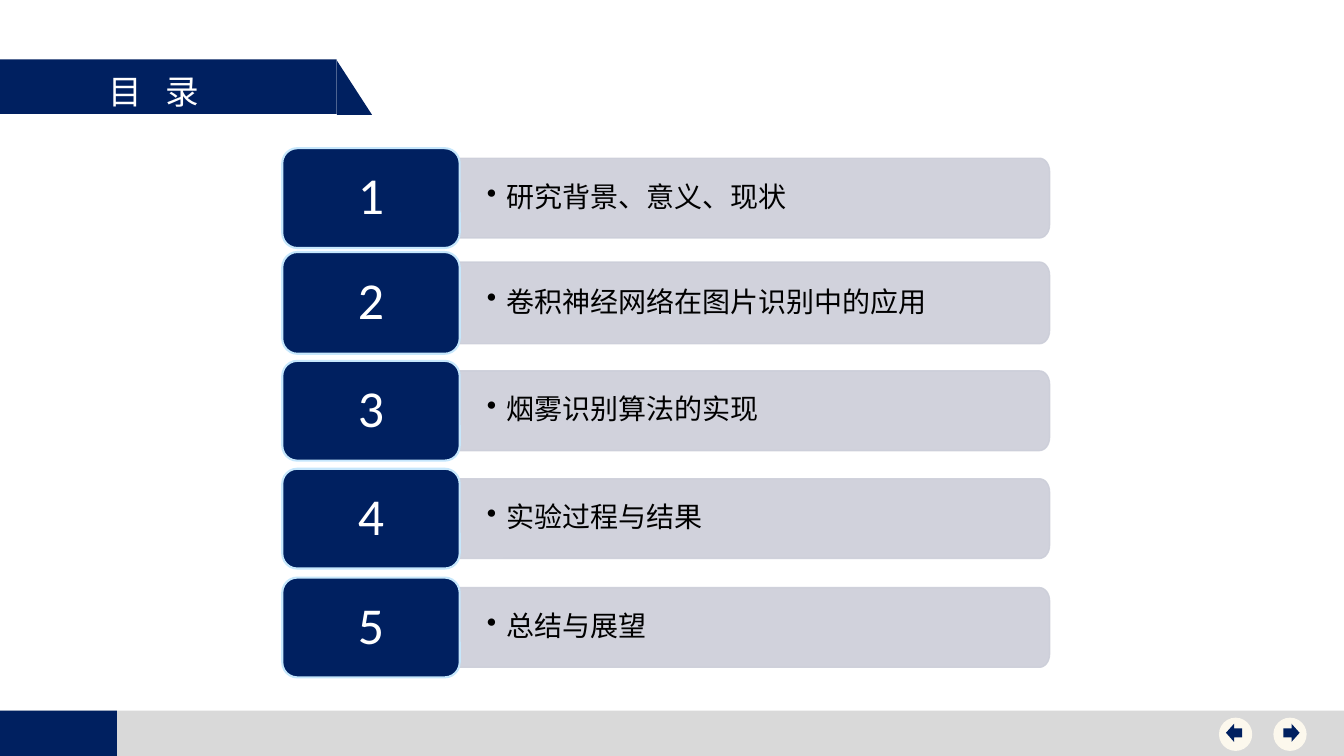
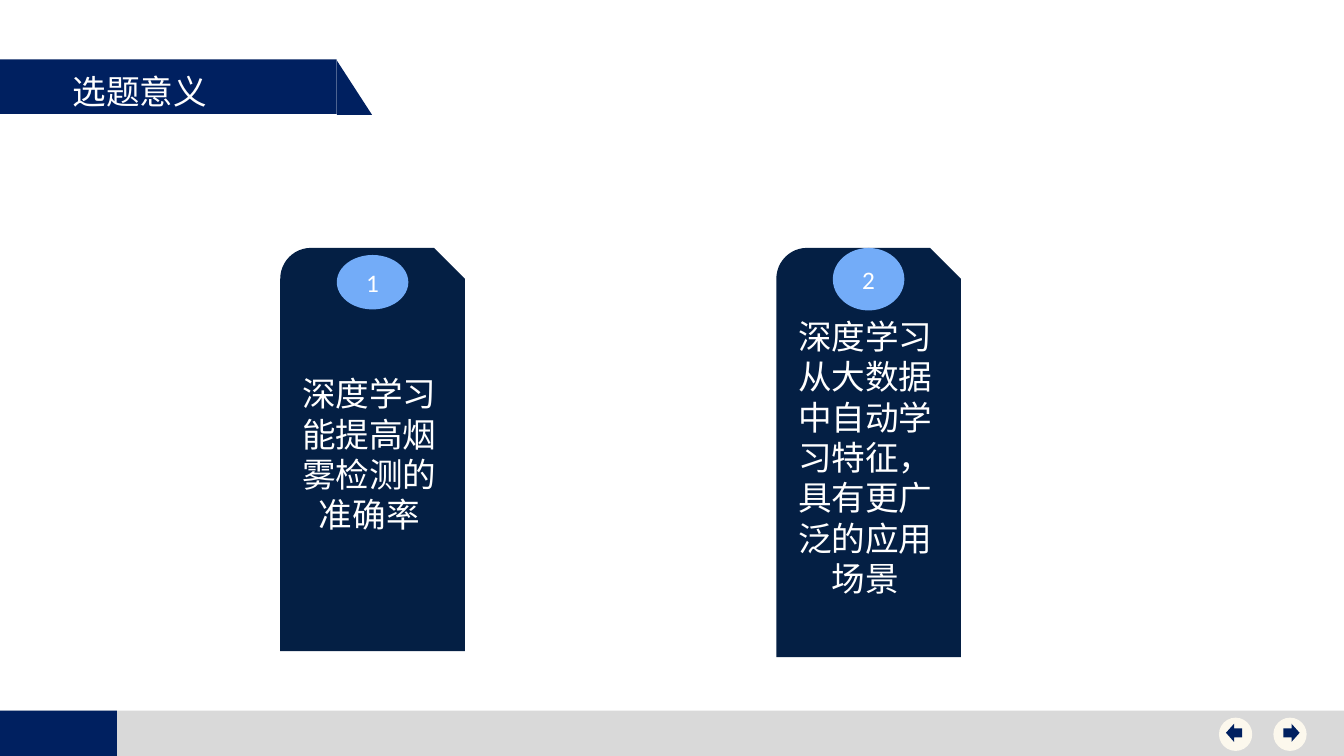
import math
from dataclasses import dataclass

import lxml.etree
import pptx
import pptx.dml.color
import pptx.enum.shapes
import pptx.enum.text
import pptx.oxml.ns
import pptx.util

Inches = pptx.util.Inches
Pt = pptx.util.Pt
qn = pptx.oxml.ns.qn
SHAPE = pptx.enum.shapes.MSO_SHAPE
ALIGN = pptx.enum.text.PP_ALIGN
ANCHOR = pptx.enum.text.MSO_ANCHOR


@dataclass(frozen=True)
class Theme:
    navy: str = "002060"
    dark_navy: str = "041F44"
    sky: str = "73ACF8"
    pale_blue: str = "C6E7FC"
    bar_grey: str = "CCCED9"
    footer_grey: str = "D9D9D9"
    cream: str = "FCF8ED"
    white: str = "FFFFFF"
    black: str = "000000"
    cjk_font: str = "Noto Sans CJK SC"
    number_font: str = "Calibri"
    heading_size: int = 24
    item_size: int = 20
    badge_size: int = 37
    circle_size: int = 18


THEME = Theme()
SLIDE_WIDTH, SLIDE_HEIGHT = 13.33, 7.5
TITLE_ONLY = 5

AGENDA = [  # top and height of each badge, then its text
    (1.47, 0.99, "研究背景、意义、现状"),
    (2.5, 1.01, "卷积神经网络在图片识别中的应用"),
    (3.58, 0.99, "烟雾识别算法的实现"),
    (4.65, 0.99, "实验过程与结果"),
    (5.73, 0.99, "总结与展望"),
]
CARDS = [  # left and height of each card, circle offset and height, text
    (2.78, 4, 0.07, 0.54, "深度学习能提高烟雾检测的准确率"),
    (7.7, 4.06, 0, 0.62, "深度学习从大数据中自动学习特征，具有更广泛的应用场景"),
]


def rgb(color):
    return pptx.dml.color.RGBColor.from_string(color)


# Text and shape helpers
def set_text(box, text, *, size, font=THEME.cjk_font, color=THEME.white,
             align=ALIGN.CENTER, anchor=ANCHOR.MIDDLE, insets=(0.1, 0.05, 0.1, 0.05),
             line_spacing=None, tracking=None):
    frame = box.text_frame
    frame.word_wrap = True
    frame.auto_size = pptx.enum.text.MSO_AUTO_SIZE.NONE
    frame.vertical_anchor = anchor
    (frame.margin_left, frame.margin_top,
     frame.margin_right, frame.margin_bottom) = map(Inches, insets)
    para = frame.paragraphs[0]
    para.alignment = align
    if line_spacing:
        para.line_spacing = line_spacing
    span = para.add_run()
    span.text = text
    span.font.size = Pt(size)
    span.font.name = font
    span.font.color.rgb = rgb(color)
    for properties in box.element.iter(qn("a:rPr")):
        lxml.etree.SubElement(properties, qn("a:ea"), typeface=font)
        if tracking:
            properties.set("spc", str(round(tracking * 100)))
    return para


def paint(box, fill, line=None, line_width=1):
    box.shadow.inherit = False
    box.fill.solid()
    box.fill.fore_color.rgb = rgb(fill)
    if line:
        box.line.color.rgb = rgb(line)
        box.line.width = Pt(line_width)
    else:
        box.line.fill.background()


def add_box(page, kind, left, top, width, height, fill, **outline):
    box = page.shapes.add_shape(kind, *map(Inches, (left, top, width, height)))
    paint(box, fill, **outline)
    return box


def set_opacity(box, percent):
    for color in box.element.spPr.iter(qn("a:srgbClr")):
        lxml.etree.SubElement(color, qn("a:alpha"), val=str(percent * 1000))


def add_bullet(box, para, indent):
    para.level = 1
    for properties in box.element.iter(qn("a:pPr")):
        properties.set("marL", str(Inches(indent)))
        properties.set("indent", str(-Inches(indent)))
        lxml.etree.SubElement(properties, qn("a:buChar"), char="•")


# Shared frame: footer, title banner and navigation, kept in the layout
def add_nav_button(page, left, arrow, arrow_left):
    add_box(page, SHAPE.OVAL, left, 7.12, 0.33, 0.33, THEME.cream)
    add_box(page, arrow, arrow_left, 7.18, 0.16, 0.18, THEME.navy)


def move_to_layout(page):
    tree = page.slide_layout.shapes.element
    for number, box in enumerate(list(page.shapes)):
        if not box.is_placeholder:
            for properties in box.element.iter(qn("p:cNvPr")):
                properties.set("id", str(100 + number))
            tree.append(box.element)


def add_shared_frame(page):
    add_box(page, SHAPE.RECTANGLE, 0, 7.05, SLIDE_WIDTH, 0.46, THEME.footer_grey)
    add_box(page, SHAPE.RECTANGLE, 0, 7.05, 1.16, 0.46, THEME.navy)
    add_box(page, SHAPE.RECTANGLE, 0, 0.59, 3.34, 0.54, THEME.navy)
    add_box(page, SHAPE.RIGHT_TRIANGLE, 3.34, 0.6, 0.35, 0.54, THEME.navy)
    add_nav_button(page, 12.63, SHAPE.RIGHT_ARROW, 12.73)
    add_nav_button(page, 12.09, SHAPE.LEFT_ARROW, 12.16)
    move_to_layout(page)


def set_title(page, text, left, width, **style):
    title = page.shapes.title
    title.left, title.top, title.width, title.height = map(
        Inches, (left, 0.65, width, 0.5))
    set_text(title, text, size=THEME.heading_size, align=ALIGN.LEFT,
             anchor=ANCHOR.TOP, **style)


# Agenda rows
def add_bar(page, left, top, width, height, text):
    """Draw a bar with its two right corners rounded."""
    radius_x, radius_y, steps = 0.1, 0.13, 8
    right, bottom = left + width, top + height
    angles = [math.pi / 2 * step / steps for step in range(steps + 1)]
    upper = [(right - radius_x * (1 - math.sin(angle)),
              top + radius_y * (1 - math.cos(angle))) for angle in angles]
    lower = [(x, top + bottom - y) for x, y in reversed(upper)]
    outline = upper + lower + [(left, bottom)]
    builder = page.shapes.build_freeform(Inches(left), Inches(top))
    builder.add_line_segments([(Inches(x), Inches(y)) for x, y in outline])
    bar = builder.convert_to_shape()
    paint(bar, THEME.bar_grey, line=THEME.bar_grey)
    set_opacity(bar, 90)
    para = set_text(bar, text, size=THEME.item_size, color=THEME.black,
                    align=ALIGN.LEFT, insets=(0.27, 0.17, 0.3, 0.17),
                    line_spacing=0.9)
    add_bullet(bar, para, 0.19)


def add_agenda_row(page, number, top, height, text):
    left, width, bar_inset = 2.8, 1.76, 0.1
    add_bar(page, left + width, top + bar_inset, 5.85, height - 2 * bar_inset, text)
    badge = add_box(page, SHAPE.ROUNDED_RECTANGLE, left, top, width, height,
                    THEME.navy, line=THEME.pale_blue, line_width=1.5)
    badge.adjustments[0] = 0.15
    set_text(badge, str(number), size=THEME.badge_size, font=THEME.number_font,
             insets=(0.19, 0.12, 0.19, 0.12), line_spacing=0.9)


# Numbered cards
def add_card(page, number, left, height, circle_offset, circle_height, text):
    top, width, circle_width = 2.46, 1.83, 0.71
    card = add_box(page, SHAPE.SNIP_ROUND_RECTANGLE, left, top, width, height,
                   THEME.dark_navy)
    set_text(card, text, size=THEME.heading_size)
    circle = add_box(page, SHAPE.OVAL, left + (width - circle_width) / 2,
                     top + circle_offset, circle_width, circle_height, THEME.sky)
    set_text(circle, str(number), size=THEME.circle_size, font=THEME.number_font)


def main():
    deck = pptx.Presentation()
    deck.slide_width, deck.slide_height = Inches(SLIDE_WIDTH), Inches(SLIDE_HEIGHT)
    layout = deck.slide_layouts[TITLE_ONLY]

    # Contents
    page = deck.slides.add_slide(layout)
    add_shared_frame(page)
    set_title(page, "目 录", 0.98, 1.63, tracking=5.4)
    for number, row in enumerate(AGENDA, start=1):
        add_agenda_row(page, number, *row)

    # Significance of the topic
    page = deck.slides.add_slide(layout)
    set_title(page, "选题意义", 0.62, 3.08)
    for number, card in enumerate(CARDS, start=1):
        add_card(page, number, *card)

    deck.save("out.pptx")


if __name__ == "__main__":
    main()
